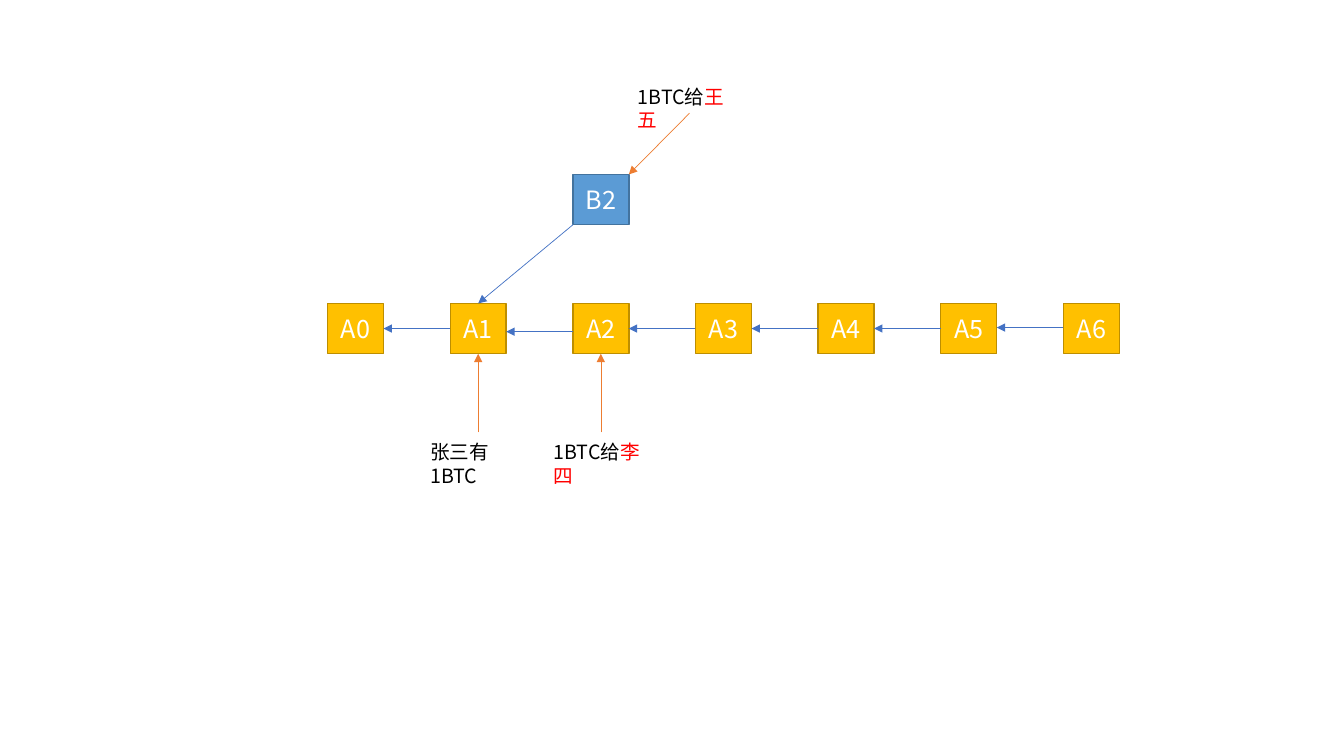
from dataclasses import dataclass

import pptx
import pptx.dml.color
import pptx.enum.shapes
import pptx.enum.text
import pptx.oxml.ns
import pptx.oxml.xmlchemy
import pptx.util
from lxml import etree

Pt = pptx.util.Pt
RGBColor = pptx.dml.color.RGBColor
qn = pptx.oxml.ns.qn

FONT = "Noto Sans CJK SC"
WHITE = RGBColor(0xFF, 0xFF, 0xFF)
BLACK = RGBColor(0x00, 0x00, 0x00)
RED = RGBColor(0xFF, 0x00, 0x00)
GOLD = RGBColor(0xFF, 0xC0, 0x00)
DARK_GOLD = RGBColor(0xBD, 0x8E, 0x00)
SKY = RGBColor(0x5B, 0x9B, 0xD5)
DARK_SKY = RGBColor(0x43, 0x73, 0x9E)
BLUE = RGBColor(0x44, 0x72, 0xC4)
ORANGE = RGBColor(0xED, 0x7D, 0x31)

BLOCK_W, BLOCK_H = 40, 36
CHAIN_LEFT, CHAIN_TOP, PITCH = 234, 216.7, 87.6
FORK_TOP = 124.6
LABEL_W, LABEL_H = 88.6, 24.5


@dataclass
class Block:
    """One block of the chain, with its place in points."""
    name: str
    left: float
    top: float
    fill: RGBColor = GOLD
    line: RGBColor = DARK_GOLD

    @property
    def right(self) -> float:
        """Right edge."""
        return self.left + BLOCK_W

    @property
    def bottom(self) -> float:
        """Bottom edge."""
        return self.top + BLOCK_H

    @property
    def middle(self) -> float:
        """Horizontal centre."""
        return self.left + BLOCK_W / 2


@dataclass
class Label:
    """A transaction note: black text and a red recipient."""
    left: float
    top: float
    text: str
    recipient: str = ""


@dataclass
class Arrow:
    """A straight arrow from (x1, y1) to (x2, y2), in points."""
    x1: float
    y1: float
    x2: float
    y2: float
    color: RGBColor = BLUE


def style_run(r, size: float, color: RGBColor) -> None:
    """Set size, colour and font, for Latin and Chinese text alike."""
    r.font.size = Pt(size)
    r.font.color.rgb = color
    r.font.name = FONT
    etree.SubElement(r.font._element, qn("a:ea"), typeface=FONT)


def draw_block(s, block: Block) -> None:
    """Draw a block with its name in the centre."""
    sp = s.shapes.add_shape(
        pptx.enum.shapes.MSO_SHAPE.RECTANGLE,
        Pt(block.left), Pt(block.top), Pt(BLOCK_W), Pt(BLOCK_H))
    sp.shadow.inherit = False
    sp.fill.solid()
    sp.fill.fore_color.rgb = block.fill
    sp.line.color.rgb = block.line
    sp.line.width = Pt(1)
    tf = sp.text_frame
    tf.margin_left = tf.margin_right = 0
    tf.vertical_anchor = pptx.enum.text.MSO_ANCHOR.MIDDLE
    tf.text = block.name
    p = tf.paragraphs[0]
    p.alignment = pptx.enum.text.PP_ALIGN.CENTER
    style_run(p.runs[0], 18, WHITE)


def draw_label(s, label: Label) -> None:
    """Draw a wrapped transaction note."""
    sp = s.shapes.add_textbox(
        Pt(label.left), Pt(label.top), Pt(LABEL_W), Pt(LABEL_H))
    tf = sp.text_frame
    tf.word_wrap = True
    p = tf.paragraphs[0]
    for text, color in ((label.text, BLACK), (label.recipient, RED)):
        if text:
            r = p.add_run()
            r.text = text
            style_run(r, 14, color)


def draw_arrow(s, arrow: Arrow) -> None:
    """Draw a thin line with a triangle at its end."""
    sp = s.shapes.add_connector(
        pptx.enum.shapes.MSO_CONNECTOR.STRAIGHT,
        Pt(arrow.x1), Pt(arrow.y1), Pt(arrow.x2), Pt(arrow.y2))
    sp.line.color.rgb = arrow.color
    sp.line.width = Pt(0.5)
    etree.SubElement(sp.line._get_or_add_ln(), qn("a:tailEnd"), type="triangle")
    etree.SubElement(sp._element.spPr, qn("a:effectLst"))


chain = [Block(f"A{i}", CHAIN_LEFT + i * PITCH, CHAIN_TOP) for i in range(7)]
fork = Block("B2", chain[2].left, FORK_TOP, SKY, DARK_SKY)

link_heights = [234.7, 236.9, 234.7, 234.7, 234.7, 234]
arrows = [Arrow(block.left, y, parent.right, y)
          for parent, block, y in zip(chain, chain[1:], link_heights)]
arrows.append(Arrow(fork.left, fork.bottom, chain[1].middle, chain[1].top))
arrows += [Arrow(block.middle, 308.9, block.middle, block.bottom, ORANGE)
           for block in chain[1:3]]
arrows.append(Arrow(492.5, 80.9, fork.right, fork.top, ORANGE))

labels = [
    Label(300.2, 311, "张三有1BTC"),
    Label(388.4, 311, "1BTC给", "李四"),
    Label(448.6, 56.9, "1BTC给", "王五"),
]

prs = pptx.Presentation()
prs.slide_width, prs.slide_height = Pt(960), Pt(540)
s = prs.slides.add_slide(prs.slide_layouts[6])
for block in [*chain, fork]:
    draw_block(s, block)
for label in labels:
    draw_label(s, label)
for arrow in arrows:
    draw_arrow(s, arrow)
prs.save("out.pptx")
